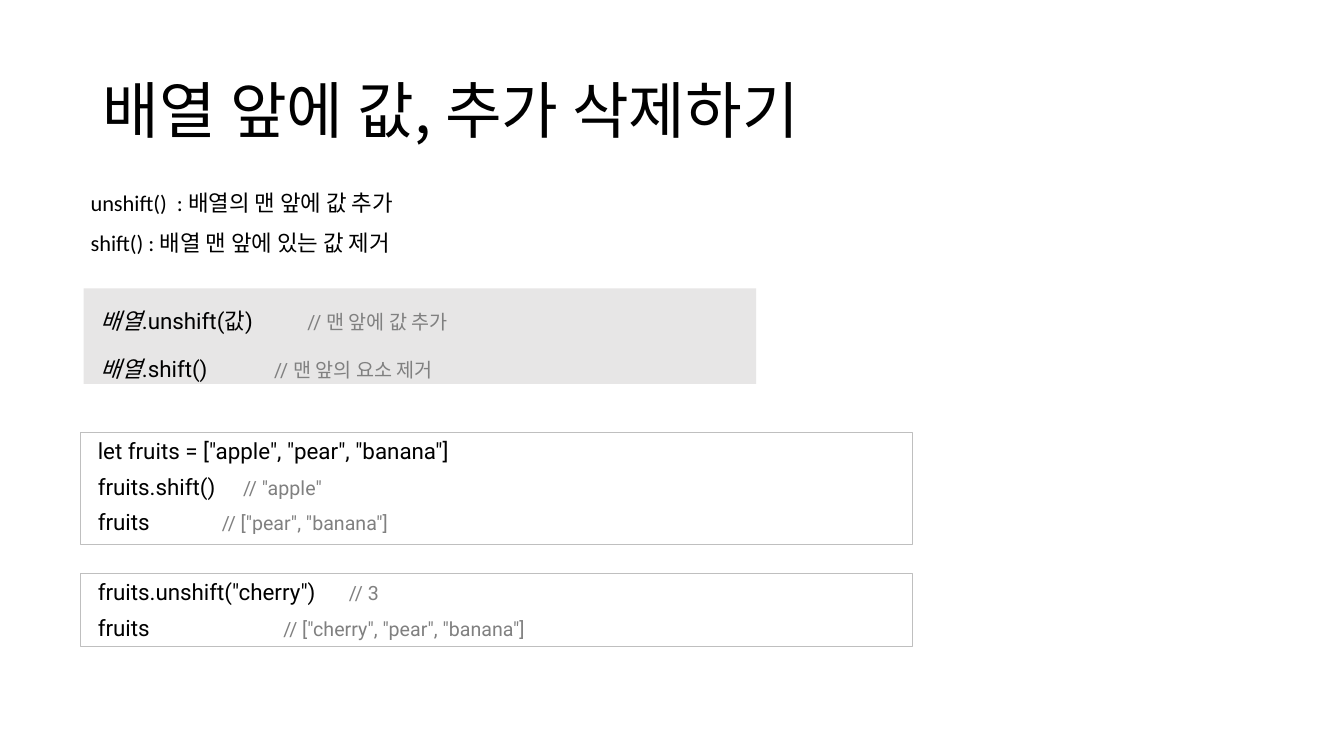
"""Build a slide on adding and removing values at the front of an array."""
import pptx
import pptx.util
import pptx.dml.color
import pptx.enum.shapes
import pptx.enum.text
from lxml import etree
from pptx.util import Inches

BLACK = pptx.dml.color.RGBColor(0, 0, 0)
COMMENT = pptx.dml.color.RGBColor(0x80, 0x80, 0x80)
PANEL = pptx.dml.color.RGBColor(0xE7, 0xE6, 0xE6)
BORDER = pptx.dml.color.RGBColor(0xBF, 0xBF, 0xBF)

TITLE = "배열 앞에 값, 추가 삭제하기"
METHODS = ["unshift()  : 배열의 맨 앞에 값 추가", "shift() : 배열 맨 앞에 있는 값 제거"]

# Each line: italic part, code, comment, distance of the comment from the text edge
SYNTAX = [
    ("배열", ".unshift(값)", "// 맨 앞에 값 추가", 2.05),
    ("배열", ".shift()", "// 맨 앞의 요소 제거", 1.72),
]
SHIFT = [
    ("", 'let fruits = ["apple", "pear", "banana"]', "", 0),
    ("", "fruits.shift()", '// "apple"', 1.44),
    ("", "fruits", '// ["pear", "banana"]', 1.23),
]
UNSHIFT = [
    ("", 'fruits.unshift("cherry")', "// 3", 2.49),
    ("", "fruits", '// ["cherry", "pear", "banana"]', 1.84),
]
BOXES = [
    (SYNTAX, (0.83, 2.86, 6.67, 0.95), PANEL, None, 1.5),
    (SHIFT, (0.8, 4.29, 8.25, 1.11), None, BORDER, 1),
    (UNSHIFT, (0.8, 5.69, 8.25, 0.72), None, BORDER, 1),
]


def add_text(p, text, font="Roboto", size=16, color=BLACK, italic=False):
    """Append a formatted run to a paragraph."""
    r = p.add_run()
    r.text = text
    r.font.name = font
    r.font.size = pptx.util.Pt(size)
    r.font.color.rgb = color
    r.font.italic = italic


def next_paragraph(tf, index, spacing):
    """Return the paragraph at the index, left aligned, with its line spacing."""
    p = tf.add_paragraph() if index else tf.paragraphs[0]
    p.alignment = pptx.enum.text.PP_ALIGN.LEFT
    p.line_spacing = spacing
    return p


def add_tab(p, inches):
    """Add a left tab stop to a paragraph."""
    ns = "{http://schemas.openxmlformats.org/drawingml/2006/main}"
    tabs = etree.SubElement(p._p.get_or_add_pPr(), ns + "tabLst")
    etree.SubElement(tabs, ns + "tab", pos=str(Inches(inches)), algn="l")


def add_code_box(s, lines, place, fill, border, spacing):
    """Draw a rectangle holding code lines with tabbed comments."""
    sp = s.shapes.add_shape(pptx.enum.shapes.MSO_SHAPE.RECTANGLE, *map(Inches, place))
    sp.shadow.inherit = False
    if fill is None:
        sp.fill.background()
    else:
        sp.fill.solid()
        sp.fill.fore_color.rgb = fill
    if border is None:
        sp.line.fill.background()
    else:
        sp.line.color.rgb = border
        sp.line.width = pptx.util.Pt(0.75)
    tf = sp.text_frame
    tf.word_wrap = True
    tf.vertical_anchor = pptx.enum.text.MSO_ANCHOR.TOP
    tf.margin_left = Inches(0.17)
    for i, (variable, code, comment, tab) in enumerate(lines):
        p = next_paragraph(tf, i, spacing)
        p.space_before = pptx.util.Pt(3 if i else 0)
        p.space_after = pptx.util.Pt(3)
        if variable:
            add_text(p, variable, italic=True)
        add_text(p, code)
        if comment:
            add_tab(p, tab)
            add_text(p, "\t" + comment, size=14, color=COMMENT)


def main():
    """Create and save the presentation."""
    prs = pptx.Presentation()
    prs.slide_width, prs.slide_height = Inches(13.33), Inches(7.5)
    s = prs.slides.add_slide(prs.slide_layouts[5])

    title = s.shapes.title
    title.left, title.top, title.width, title.height = map(Inches, (0.92, 0.4, 11.5, 1.45))
    title.text_frame.vertical_anchor = pptx.enum.text.MSO_ANCHOR.MIDDLE
    add_text(next_paragraph(title.text_frame, 0, 0.9), TITLE, font="Noto Sans CJK KR", size=44)

    tf = s.shapes.add_textbox(*map(Inches, (0.8, 1.69, 10.86, 0.86))).text_frame
    tf.word_wrap = True
    for i, text in enumerate(METHODS):
        add_text(next_paragraph(tf, i, 1.5), text, font="Calibri")

    for box in BOXES:
        add_code_box(s, *box)
    prs.save("out.pptx")


if __name__ == "__main__":
    main()
